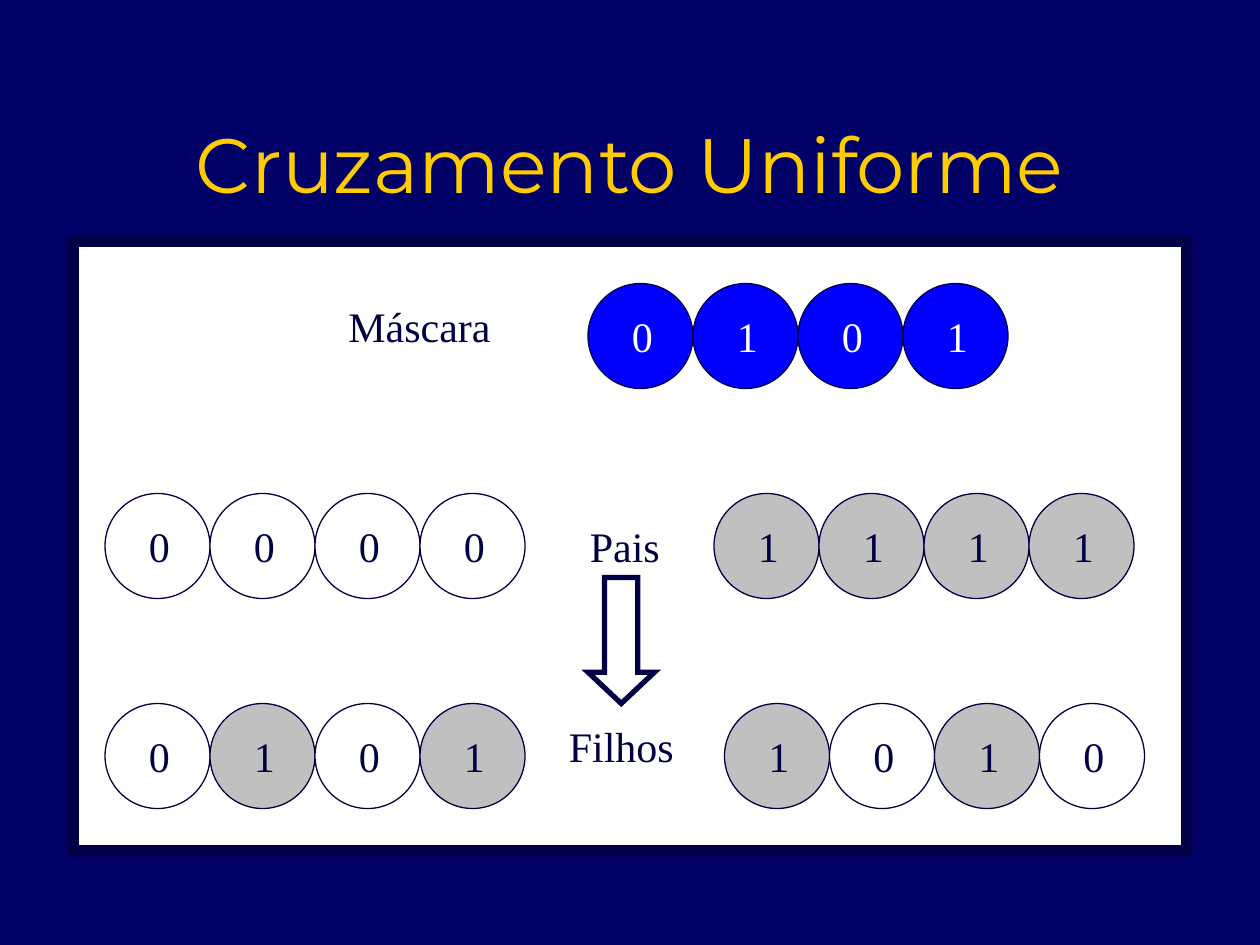
from dataclasses import dataclass

from lxml.etree import SubElement
from pptx import Presentation
from pptx.dml.color import RGBColor
from pptx.enum.shapes import MSO_SHAPE as Preset
from pptx.enum.text import MSO_ANCHOR as Anchor, MSO_AUTO_SIZE as AutoSize, PP_ALIGN as Align
from pptx.oxml.ns import qn
from pptx.shapes.autoshape import Shape
from pptx.slide import Slide
from pptx.text.text import TextFrame
from pptx.util import Pt

NAVY = "000044"
WHITE = "FFFFFF"
GRAY = "C0C0C0"
BLUE = "0000FF"
GOLD = "FFCC00"
BODY_FONT = "Times New Roman"
GENE_SIZE = 60
DIGIT_WIDTH, DIGIT_HEIGHT = 24, 36


@dataclass(frozen=True)
class Chromosome:
    left: float
    top: float
    genes: str
    fills: dict[str, str]
    text_color: str = NAVY


@dataclass(frozen=True)
class Label:
    text: str
    left: float
    top: float
    width: float


PARENT_FILLS = {"0": WHITE, "1": GRAY}
MASK_FILLS = {"0": BLUE, "1": BLUE}

CHROMOSOMES = [
    Chromosome(336, 162, "0101", MASK_FILLS, WHITE),
    Chromosome(60, 282, "0000", PARENT_FILLS),
    Chromosome(408, 282, "1111", PARENT_FILLS),
    Chromosome(60, 402, "0101", PARENT_FILLS),
    Chromosome(414, 402, "1010", PARENT_FILLS),
]

LABELS = [
    Label("Máscara", 192, 168, 98),
    Label("Pais", 330, 294, 58),
    Label("Filhos", 318, 408, 78),
]


def color(value: str) -> RGBColor:
    return RGBColor.from_string(value)


def add_preset(slide: Slide, preset: Preset, left: float, top: float, width: float,
               height: float, fill: str, line_width: float = 0) -> Shape:
    shape = slide.shapes.add_shape(preset, Pt(left), Pt(top), Pt(width), Pt(height))
    shape.shadow.inherit = False
    shape.fill.solid()
    shape.fill.fore_color.rgb = color(fill)
    if line_width:
        shape.line.color.rgb = color(NAVY)
        shape.line.width = Pt(line_width)
        outline = shape.element.spPr.find(qn("a:ln"))
        SubElement(outline, qn("a:miter")).set("lim", "800000")
    else:
        shape.line.fill.background()
    return shape


def write(frame: TextFrame, text: str, size: float, font: str, text_color: str,
          alignment: Align, anchor: Anchor, wrap: bool, auto_size: AutoSize) -> None:
    frame.text = text
    frame.word_wrap = wrap
    frame.auto_size = auto_size
    frame.vertical_anchor = anchor
    paragraph = frame.paragraphs[0]
    paragraph.alignment = alignment
    paragraph.font.size = Pt(size)
    paragraph.font.name = font
    paragraph.font.color.rgb = color(text_color)


def add_chromosome(slide: Slide, chromosome: Chromosome) -> None:
    for index, gene in enumerate(chromosome.genes):
        left = chromosome.left + index * GENE_SIZE
        fill = chromosome.fills[gene]
        add_preset(slide, Preset.OVAL, left, chromosome.top, GENE_SIZE, GENE_SIZE, fill, 0.75)
        digit = add_preset(slide, Preset.RECTANGLE,
                           left + (GENE_SIZE - DIGIT_WIDTH) / 2,
                           chromosome.top + (GENE_SIZE - DIGIT_HEIGHT) / 2,
                           DIGIT_WIDTH, DIGIT_HEIGHT, fill)
        write(digit.text_frame, gene, 24, BODY_FONT, chromosome.text_color,
              Align.CENTER, Anchor.TOP, True, AutoSize.SHAPE_TO_FIT_TEXT)


def add_label(slide: Slide, label: Label) -> None:
    box = slide.shapes.add_textbox(Pt(label.left), Pt(label.top), Pt(label.width), Pt(36))
    write(box.text_frame, label.text, 24, BODY_FONT, NAVY,
          Align.LEFT, Anchor.TOP, False, AutoSize.NONE)


def format_title(slide: Slide) -> None:
    title = slide.shapes.title
    title.left, title.top = Pt(54), Pt(62.6)
    title.width, title.height = Pt(612), Pt(60.5)
    write(title.text_frame, "Cruzamento Uniforme", 44, "Montserrat", GOLD,
          Align.CENTER, Anchor.MIDDLE, True, AutoSize.NONE)


def main() -> None:
    presentation = Presentation()
    presentation.slide_width, presentation.slide_height = Pt(720), Pt(540)
    slide = presentation.slides.add_slide(presentation.slide_layouts[5])
    slide.background.fill.solid()
    slide.background.fill.fore_color.rgb = color("000066")

    format_title(slide)
    add_preset(slide, Preset.RECTANGLE, 42, 138, 636, 348, WHITE, 6)
    for chromosome in CHROMOSOMES:
        add_chromosome(slide, chromosome)
    for label in LABELS:
        add_label(slide, label)
    arrow = add_preset(slide, Preset.DOWN_ARROW, 336, 330, 38, 72, WHITE, 3)
    arrow.adjustments[0] = 0.5
    arrow.adjustments[1] = 0.47

    presentation.save("out.pptx")


if __name__ == "__main__":
    main()
